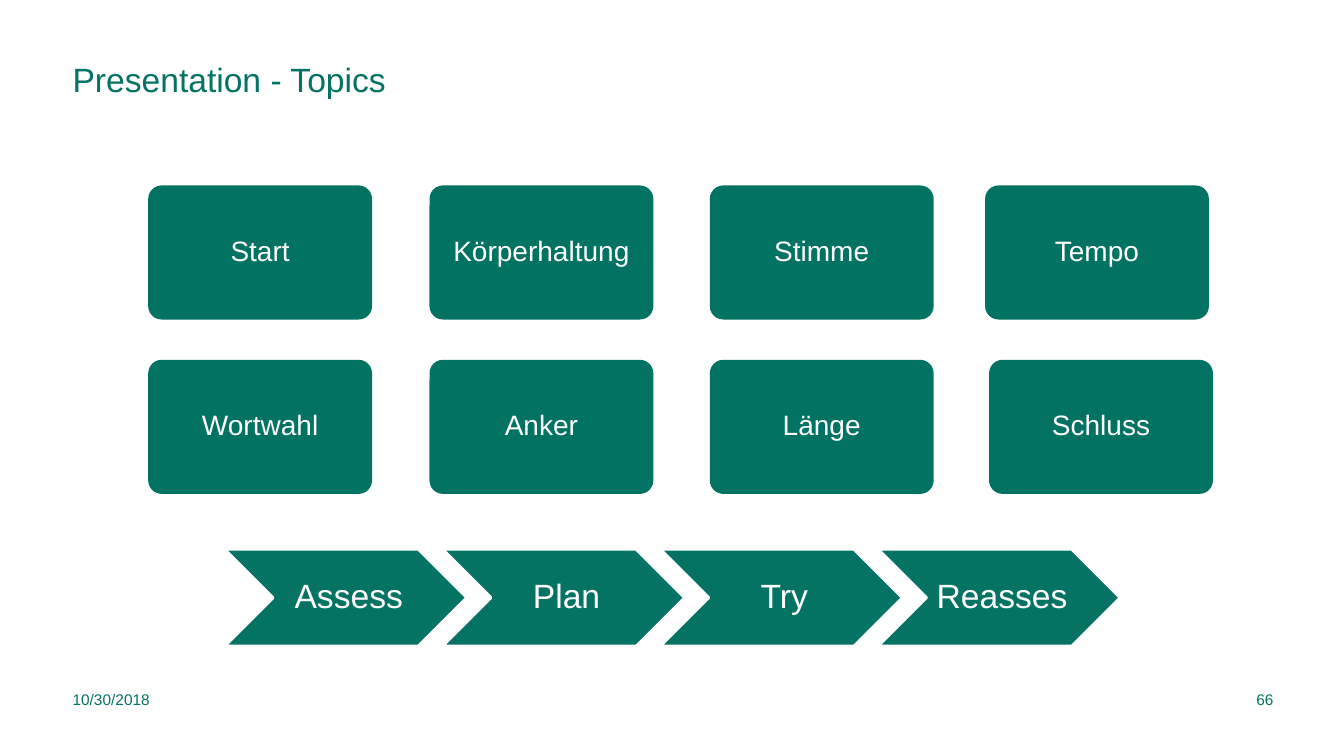
from pptx import Presentation
from pptx.dml.color import RGBColor
from pptx.enum.shapes import MSO_SHAPE as Shape
from pptx.enum.text import MSO_ANCHOR as Anchor, PP_ALIGN as Align
from pptx.util import Inches, Pt

COLORS = {"teal": "047364", "card": "027262", "white": "FFFFFF"}
FONT = "Arial"

CARD_LEFTS = (1.47, 4.26, 7.04)
TOPIC_ROWS = [
    (1.84, (*CARD_LEFTS, 9.77), ("Start", "Körperhaltung", "Stimme", "Tempo")),
    (3.57, (*CARD_LEFTS, 9.81), ("Wortwahl", "Anker", "Länge", "Schluss")),
]
STEPS = ("Assess", "Plan", "Try", "Reasses")
STEP_LEFT, STEP_PITCH = 2.23, 2.16


def color(name):
    return RGBColor.from_string(COLORS[name])


class TopicSlide:
    """Holds the style and the current page."""

    def __init__(self, deck):
        self.page = deck.slides.add_slide(deck.slide_layouts[6])

    def set_text(self, box, text, size, ink, align, anchor, insets, spacing=None, wrap=True):
        frame = box.text_frame
        frame.word_wrap = wrap
        frame.vertical_anchor = anchor
        (frame.margin_left, frame.margin_top,
         frame.margin_right, frame.margin_bottom) = map(Inches, insets)
        para = frame.paragraphs[0]
        para.text = text
        para.alignment = align
        para.line_spacing = spacing
        para.font.name = FONT
        para.font.size = Pt(size)
        para.font.color.rgb = color(ink)

    def label(self, text, at, size, align=Align.LEFT, anchor=Anchor.MIDDLE,
              insets=(0, 0, 0, 0), spacing=None):
        box = self.page.shapes.add_textbox(*map(Inches, at))
        self.set_text(box, text, size, "teal", align, anchor, insets, spacing)

    def filled(self, kind, at, fill):
        box = self.page.shapes.add_shape(kind, *map(Inches, at))
        box.shadow.inherit = False
        box.fill.solid()
        box.fill.fore_color.rgb = color(fill)
        return box

    def card(self, text, left, top):
        box = self.filled(Shape.ROUNDED_RECTANGLE, (left, top, 2.22, 1.33), "card")
        box.adjustments[0] = 0.1
        box.line.fill.background()
        self.set_text(box, text, 20, "white", Align.CENTER, Anchor.MIDDLE,
                      (0.1, 0.1, 0.1, 0.1), spacing=0.9)

    def step(self, text, left):
        box = self.filled(Shape.CHEVRON, (left, 5.45, 2.4, 0.96), "teal")
        box.line.color.rgb = color("white")
        box.line.width = Pt(2)
        self.set_text(box, text, 24, "white", Align.CENTER, Anchor.MIDDLE,
                      (0.1, 0.04, 0.04, 0.04), spacing=0.9, wrap=False)


def main():
    deck = Presentation()
    deck.slide_width, deck.slide_height = Inches(13.33), Inches(7.5)
    slide = TopicSlide(deck)

    slide.label("Presentation - Topics", (0.72, 0.63, 8.46, 0.98), 24,
                anchor=Anchor.TOP, insets=(0, 0, 0, 0.04), spacing=0.9)
    for top, lefts, topics in TOPIC_ROWS:
        for left, topic in zip(lefts, topics):
            slide.card(topic, left, top)
    for index, step in enumerate(STEPS):
        slide.step(step, STEP_LEFT + index * STEP_PITCH)
    slide.label("10/30/2018", (0.72, 6.77, 1.97, 0.33), 11)
    slide.label("66", (12.04, 6.77, 0.59, 0.33), 11, align=Align.RIGHT)

    deck.save("out.pptx")


if __name__ == "__main__":
    main()
